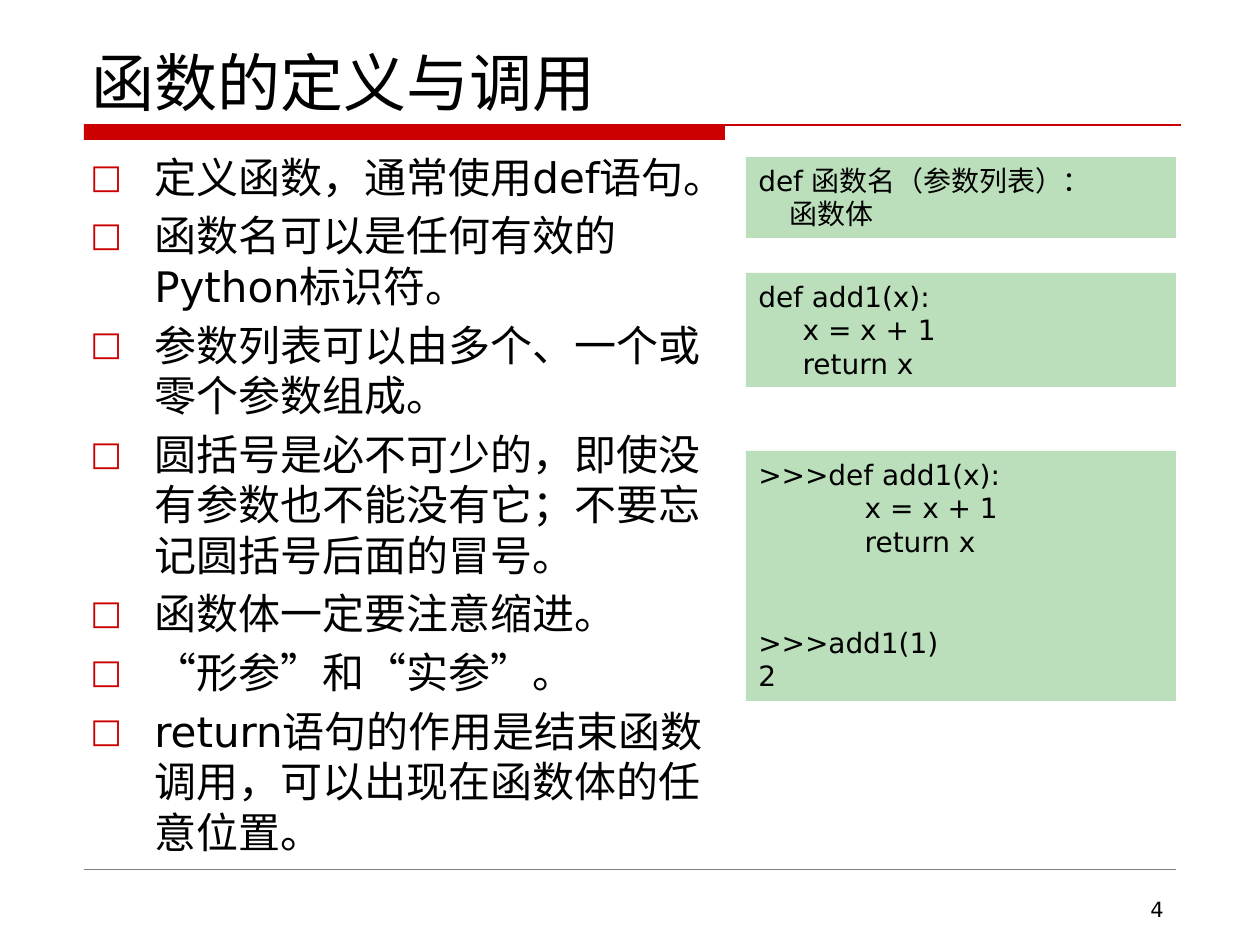
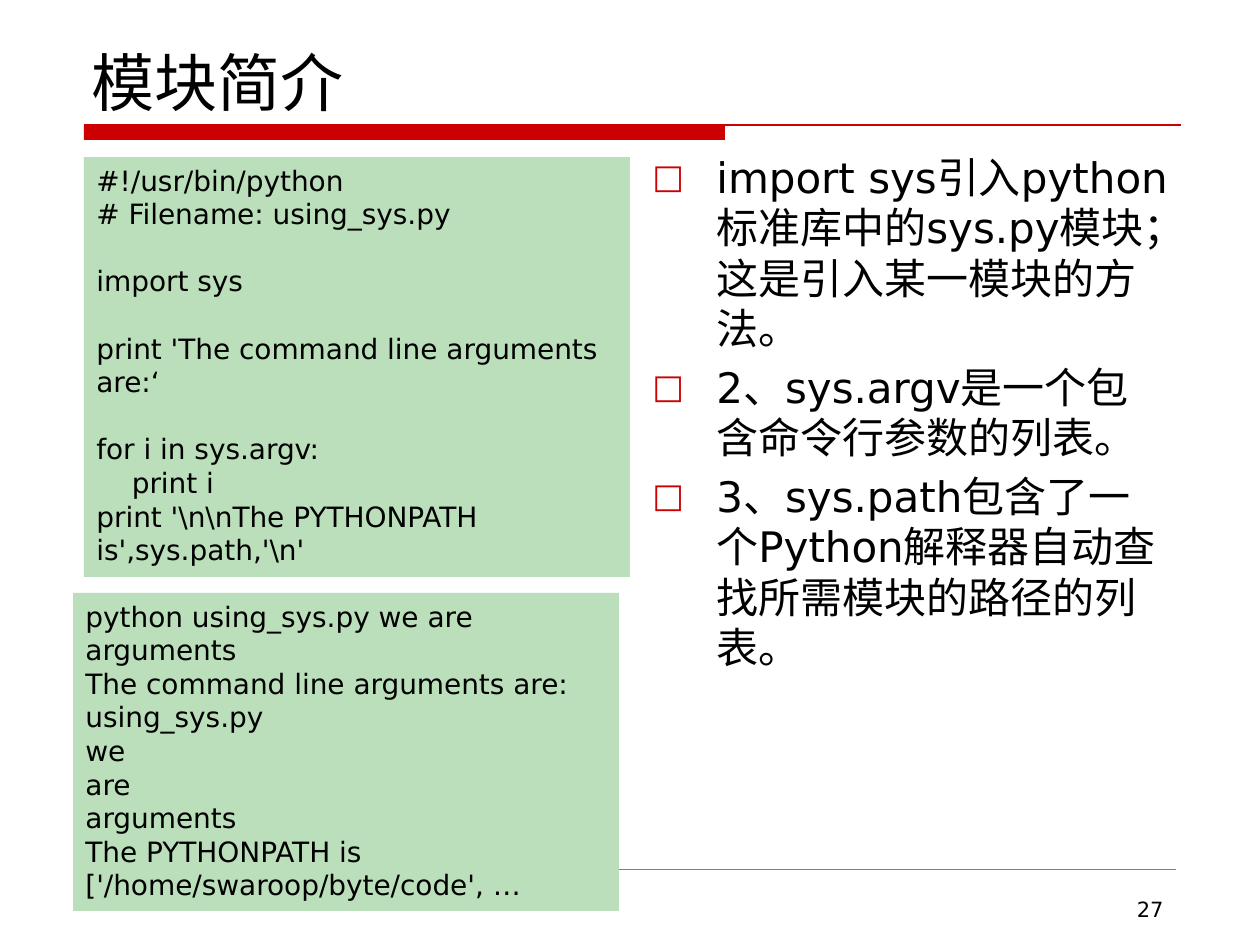
from dataclasses import dataclass

from lxml.etree import SubElement
from pptx import Presentation
from pptx.dml.color import RGBColor
from pptx.enum.shapes import MSO_CONNECTOR, MSO_SHAPE
from pptx.enum.text import MSO_ANCHOR, MSO_AUTO_SIZE, PP_ALIGN
from pptx.oxml.ns import qn
from pptx.util import Emu, Pt


@dataclass(frozen=True)
class Theme:
    font: str = "DejaVu Sans"
    ink: str = "000000"
    red: str = "CC0000"
    gray: str = "808080"
    green: str = "BBDFBB"
    title: int = 36
    body: int = 24
    code: int = 16
    note: int = 12
    gap: float = 4.8      # space between bullets
    line: float = 19.2    # height of one code line


LEFT, RIGHT = 84, 1176
INDENT = 64


def px(n):
    return Emu(round(n * 914400 / 126))


def rgb(code):
    return RGBColor.from_string(code)


def write(para, text, size, theme, align=PP_ALIGN.LEFT, before=0, bullet=False):
    """Fill one paragraph and set its format."""
    para.alignment = align
    para.space_before = Pt(before)
    if bullet:
        props = para._p.get_or_add_pPr()
        props.set("marL", str(px(INDENT)))
        props.set("indent", str(-px(INDENT)))
        tint = SubElement(props, qn("a:buClr"))
        SubElement(tint, qn("a:srgbClr"), val=theme.red)
        SubElement(props, qn("a:buSzPct"), val="80000")
        SubElement(props, qn("a:buFont"), typeface=theme.font)
        SubElement(props, qn("a:buChar"), char="□")
    run = para.add_run()
    run.text = text
    run.font.size = Pt(size)
    run.font.name = theme.font
    run.font.color.rgb = rgb(theme.ink)


class Deck:
    def __init__(self, theme):
        self.theme = theme
        self.prs = Presentation()
        self.prs.slide_width, self.prs.slide_height = px(1260), px(945)
        self.slide = None

    def page(self, title, number):
        """Start a slide with title, red band and footer."""
        self.slide = self.prs.slides.add_slide(self.prs.slide_layouts[5])
        head = self.slide.shapes.title
        head.left, head.top, head.width, head.height = map(px, (79, 42, 1102, 83))
        frame = head.text_frame
        frame.auto_size = MSO_AUTO_SIZE.NONE
        frame.vertical_anchor = MSO_ANCHOR.BOTTOM
        write(frame.paragraphs[0], title, self.theme.title, self.theme)
        self.rect(LEFT, 125, 641, 15, self.theme.red)
        self.rule(LEFT, 1181, 125, self.theme.red, 0.75)
        self.rule(LEFT, RIGHT, 869, self.theme.gray, 0.25)
        self.text(903, 890, 273, 37, [number], self.theme.note, align=PP_ALIGN.RIGHT)

    def rect(self, x, y, w, h, fill):
        box = self.slide.shapes.add_shape(MSO_SHAPE.RECTANGLE, *map(px, (x, y, w, h)))
        box.shadow.inherit = False
        box.fill.solid()
        box.fill.fore_color.rgb = rgb(fill)
        box.line.fill.background()
        return box

    def rule(self, start, end, y, color, weight):
        line = self.slide.shapes.add_connector(
            MSO_CONNECTOR.STRAIGHT, px(start), px(y), px(end), px(y))
        line.line.color.rgb = rgb(color)
        line.line.width = Pt(weight)
        SubElement(line._element.spPr, qn("a:effectLst"))

    def text(self, x, y, w, h, lines, size, gap=0, **style):
        box = self.slide.shapes.add_textbox(*map(px, (x, y, w, h)))
        frame = box.text_frame
        frame.word_wrap = True
        for i, line in enumerate(lines):
            para = frame.add_paragraph() if i else frame.paragraphs[0]
            write(para, line, size, self.theme, before=gap if i else 0, **style)

    def list(self, x, w, h, items):
        self.text(x, 145, w, h, items, self.theme.body, self.theme.gap, bullet=True)

    def code(self, x, y, w, h, source):
        """Green code box; an empty line becomes space before the next one."""
        frame = self.rect(x, y, w, h, self.theme.green).text_frame
        frame.word_wrap = True
        frame.auto_size = MSO_AUTO_SIZE.SHAPE_TO_FIT_TEXT
        frame.vertical_anchor = MSO_ANCHOR.TOP
        para, skip = frame.paragraphs[0], 0
        for i, line in enumerate(source):
            if not line:
                skip += self.theme.line
                continue
            if i:
                para = frame.add_paragraph()
            write(para, line, self.theme.code, self.theme, before=skip)
            skip = 0


def define(deck):
    deck.page("函数的定义与调用", "4")
    deck.list(78, 647, 716, [
        "定义函数，通常使用def语句。",
        "函数名可以是任何有效的Python标识符。",
        "参数列表可以由多个、一个或零个参数组成。",
        "圆括号是必不可少的，即使没有参数也不能没有它；不要忘记圆括号后面的冒号。",
        "函数体一定要注意缩进。",
        "“形参”和“实参”。",
        "return语句的作用是结束函数调用，可以出现在函数体的任意位置。",
    ])
    # Syntax, example and session
    blocks = [
        (157, 81, ["def 函数名（参数列表）：", "     函数体"]),
        (273, 114, ["def add1(x):", "     x = x + 1", "     return x"]),
        (451, 250, [">>>def add1(x):", "            x = x + 1",
                    "            return x", "", "", ">>>add1(1)", "2"]),
    ]
    for y, h, source in blocks:
        deck.code(746, y, 430, h, source)


def module(deck):
    deck.page("模块简介", "27")
    deck.list(640, 541, 684, [
        "import sys引入python标准库中的sys.py模块；这是引入某一模块的方法。",
        "2、sys.argv是一个包含命令行参数的列表。",
        "3、sys.path包含了一个Python解释器自动查找所需模块的路径的列表。",
    ])
    # Script and its output
    deck.code(LEFT, 157, 546, 420, [
        "#!/usr/bin/python",
        "# Filename: using_sys.py",
        "",
        "import sys",
        "",
        "print 'The command line arguments are:‘",
        "",
        "for i in sys.argv:",
        "    print i",
        r"print '\n\nThe PYTHONPATH is',sys.path,'\n'",
    ])
    deck.code(73, 593, 546, 318, [
        "python using_sys.py we are arguments",
        "The command line arguments are:",
        "using_sys.py",
        "we",
        "are",
        "arguments",
        "The PYTHONPATH is ['/home/swaroop/byte/code', …",
    ])


def main():
    deck = Deck(Theme())
    define(deck)
    module(deck)
    deck.prs.save("out.pptx")


if __name__ == "__main__":
    main()
